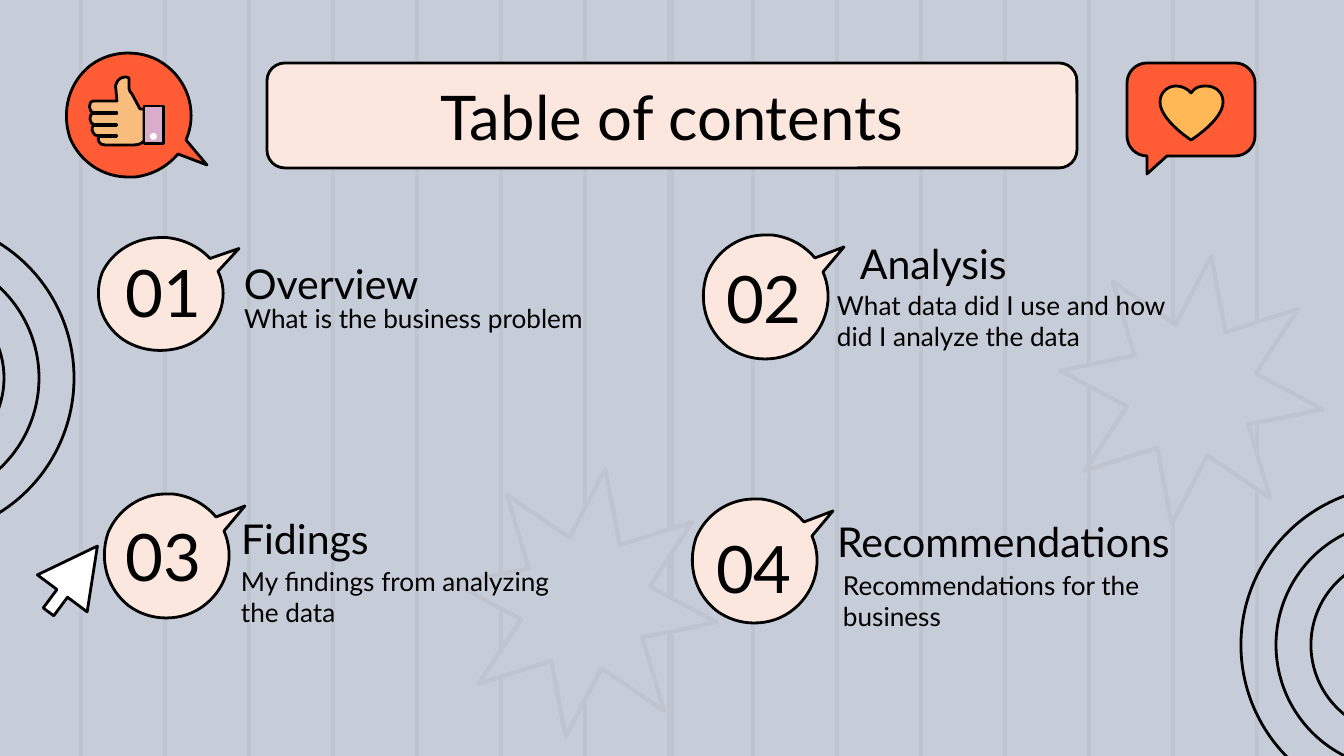
from lxml import etree
from pptx import Presentation
from pptx.dml.color import RGBColor
from pptx.enum.shapes import MSO_CONNECTOR, MSO_SHAPE
from pptx.enum.text import MSO_ANCHOR, MSO_AUTO_SIZE, PP_ALIGN
from pptx.oxml.ns import qn
from pptx.util import Emu, Pt

STRAIGHT = MSO_CONNECTOR.STRAIGHT
ELLIPSE, RECTANGLE = MSO_SHAPE.OVAL, MSO_SHAPE.RECTANGLE
STAR, ARROW, ROUNDED = MSO_SHAPE.STAR_8_POINT, MSO_SHAPE.RIGHT_ARROW, MSO_SHAPE.ROUNDED_RECTANGLE
TOP, NO_FIT = MSO_ANCHOR.TOP, MSO_AUTO_SIZE.NONE
LEFT, CENTER = PP_ALIGN.LEFT, PP_ALIGN.CENTER

PX = 914400 / 134.4
WIDTH, HEIGHT = 1344, 756
FONT = "Lato"
COLORS = {
    "background": "C6CDD8", "stripe": "C0C4CE", "ink": "000000", "cream": "FCE7DF",
    "red": "FF5B34", "heart": "FFB855", "skin": "F8BC7D", "cuff": "DAACCB",
    "crease": "512944", "white": "FFFFFF",
}


def finish(shape, fill=None, line="ink", weight=1.5):
    """Set fill and line by colour name, None for neither, and drop the shadow."""
    shape.shadow.inherit = False
    if fill:
        shape.fill.solid()
        shape.fill.fore_color.rgb = RGBColor.from_string(COLORS[fill])
    else:
        shape.fill.background()
    if line:
        shape.line.color.rgb = RGBColor.from_string(COLORS[line])
        shape.line.width = Pt(weight)
    else:
        shape.line.fill.background()


def write_text(box, text, size, align=LEFT, top=13, spacing=1.0):
    frame = box.text_frame
    frame.word_wrap = True
    frame.auto_size = NO_FIT
    frame.vertical_anchor = TOP
    frame.margin_left = frame.margin_right = frame.margin_bottom = Emu(round(13 * PX))
    frame.margin_top = Emu(round(top * PX))
    para = frame.paragraphs[0]
    para.alignment = align
    para.line_spacing = spacing
    span = para.add_run()
    span.text = text
    span.font.name = FONT
    span.font.size = Pt(size)
    span.font.color.rgb = RGBColor.from_string(COLORS["ink"])


deck = Presentation()
deck.slide_width, deck.slide_height = round(WIDTH * PX), round(HEIGHT * PX)
page = deck.slides.add_slide(deck.slide_layouts[5])
shapes = page.shapes
page.background.fill.solid()
page.background.fill.fore_color.rgb = RGBColor.from_string(COLORS["background"])

# Stripes: an even grid plus one on the centre line
for x in [WIDTH // 2, *range(81, 1258, 84)]:
    stripe = shapes.add_connector(STRAIGHT, round(x * PX), 0, round(x * PX), deck.slide_height)
    stripe.line.color.rgb = RGBColor.from_string(COLORS["stripe"])
    stripe.line.width = Pt(2.25)
    etree.SubElement(stripe._element.spPr, qn("a:effectLst"))

# Stars, rings, cursor and title panel
for x, y in [(1059, 255), (453, 468)]:
    star = shapes.add_shape(STAR, *[round(n * PX) for n in (x, y, 265, 270)])
    star.adjustments[0] = 0.25
    star.rotation = 8.4
    finish(star, "background", "stripe", 2.25)

for x, y in [(1400, 645), (-85, 378)]:
    for radius in (159, 124, 89):
        box = (x - radius, y - radius, 2 * radius, 2 * radius)
        finish(shapes.add_shape(ELLIPSE, *[round(n * PX) for n in box]))

cursor = shapes.add_shape(ARROW, *[round(n * PX) for n in (32, 548, 82, 62)])
cursor.adjustments[0], cursor.adjustments[1] = 0.21, 0.95
cursor.rotation = 306.6
finish(cursor, "white")

panel = shapes.add_shape(ROUNDED, *[round(n * PX) for n in (267, 63, 810, 105)])
panel.adjustments[0] = 0.17
finish(panel, "cream")

# Outlines: two numbers are a line, six are a cubic curve
BUBBLE = [  # around its centre, tail at the upper right
    (0, -62), (2, -62, 5, -62, 7, -62), (24, -60, 39, -52, 50, -39), (79, -50), (58, -25),
    (69, 0, 62, 30, 40, 48), (28, 58, 14, 62, 0, 62), (-13, 62, -26, 58, -37, 50),
    (-59, 33, -67, 4, -58, -23), (-48, -47, -25, -62, 0, -62),
]
CHAT = [
    (1147, 63), (1136, 63, 1127, 72, 1127, 83), (1127, 136),
    (1127, 147, 1136, 156, 1147, 156), (1147, 174), (1167, 156), (1235, 156),
    (1246, 156, 1255, 147, 1255, 136), (1255, 83), (1255, 72, 1246, 63, 1235, 63),
]
HEART = [
    (1176, 86), (1167, 86, 1160, 93, 1160, 102), (1160, 120, 1191, 140, 1191, 140),
    (1191, 140, 1223, 120, 1223, 102), (1223, 91, 1214, 86, 1206, 86),
    (1200, 86, 1195, 87, 1191, 93), (1188, 89, 1182, 86, 1176, 86),
]
THUMB = [
    (125, 77), (120, 77, 114, 82, 116, 90), (117, 101), (94, 101),
    (87, 101, 89, 113, 94, 113), (88, 113, 89, 125, 95, 125),
    (90, 125, 91, 136, 99, 136), (97, 140, 99, 145, 105, 145), (133, 145),
    (138, 145, 141, 144, 144, 141), (144, 109), (140, 109), (132, 94),
    (129, 91, 129, 89, 129, 85), (129, 78), (128, 77, 126, 77, 125, 77),
]
for steps, x, y, stretch, fill in [
    (BUBBLE, 765, 297, 1, "cream"), (BUBBLE, 754, 561, 1, "cream"),
    (BUBBLE, 160, 294, 0.91, "cream"), (BUBBLE, 166, 556, 1, "cream"),
    (CHAT, 0, 0, 1, "red"), (HEART, 0, 0, 1, "heart"),
    (BUBBLE, 128, 115, -1, "red"), (THUMB, 0, 0, 1, "skin"),
]:
    points = [
        (round((x + step[i]) * PX), round((y + stretch * step[i + 1]) * PX))
        for step in steps for i in range(0, len(step), 2)
    ]
    builder = shapes.build_freeform(*points[0])
    builder.add_line_segments(points[1:], close=True)
    outline = builder.convert_to_shape()
    segments = iter(list(outline._element.iter(qn("a:lnTo"))))
    for step in steps[1:]:
        segment = next(segments)
        if len(step) == 6:  # merge three line points into one curve
            segment.tag = qn("a:cubicBezTo")
            for extra in (next(segments), next(segments)):
                segment.append(extra[0])
                extra.getparent().remove(extra)
    finish(outline, fill)

# Cuff, finger creases and button of the thumb
for kind, box, fill, line in [
    (RECTANGLE, (144, 106, 20, 38), "cuff", "ink"),
    (RECTANGLE, (94, 112, 23, 2), "crease", "ink"),
    (RECTANGLE, (95, 124, 22, 2), "crease", "ink"),
    (RECTANGLE, (99, 135, 18, 2), "crease", "ink"),
    (ELLIPSE, (150, 133, 7, 7), "white", None),
]:
    finish(shapes.add_shape(kind, *[round(n * PX) for n in box]), fill, line)

title = shapes.title
title.left, title.top, title.width, title.height = [round(n * PX) for n in (105, 79, 1134, 70)]
write_text(title, "Table of contents", 33, align=CENTER, top=0)
shapes._spTree.append(title._element)  # in front of the panel

number_style = {"size": 35, "align": CENTER, "top": 20}
heading_style = {"size": 22, "spacing": 0.8}
body_style = {"size": 14}
for text, box, style in [
    ("01", (95, 232, 138, 94), number_style),
    ("02", (695, 238, 138, 94), number_style),
    ("03", (95, 496, 138, 94), number_style),
    ("04", (685, 508, 138, 94), number_style),
    ("What is the business problem", (231, 289, 460, 70), body_style),
    ("Overview", (231, 238, 378, 60), {"size": 22, "spacing": 1.15}),
    ("What data did I use and how did I analyze the data", (824, 276, 378, 70), body_style),
    ("Analysis", (847, 235, 490, 77), heading_style),
    ("My findings from analyzing the data", (228, 552, 378, 70), body_style),
    ("Fidings", (228, 510, 491, 77), heading_style),
    ("Recommendations for the business", (830, 556, 378, 70), body_style),
    ("Recommendations", (824, 513, 488, 60), heading_style),
]:
    write_text(shapes.add_textbox(*[round(n * PX) for n in box]), text, **style)

deck.save("out.pptx")
